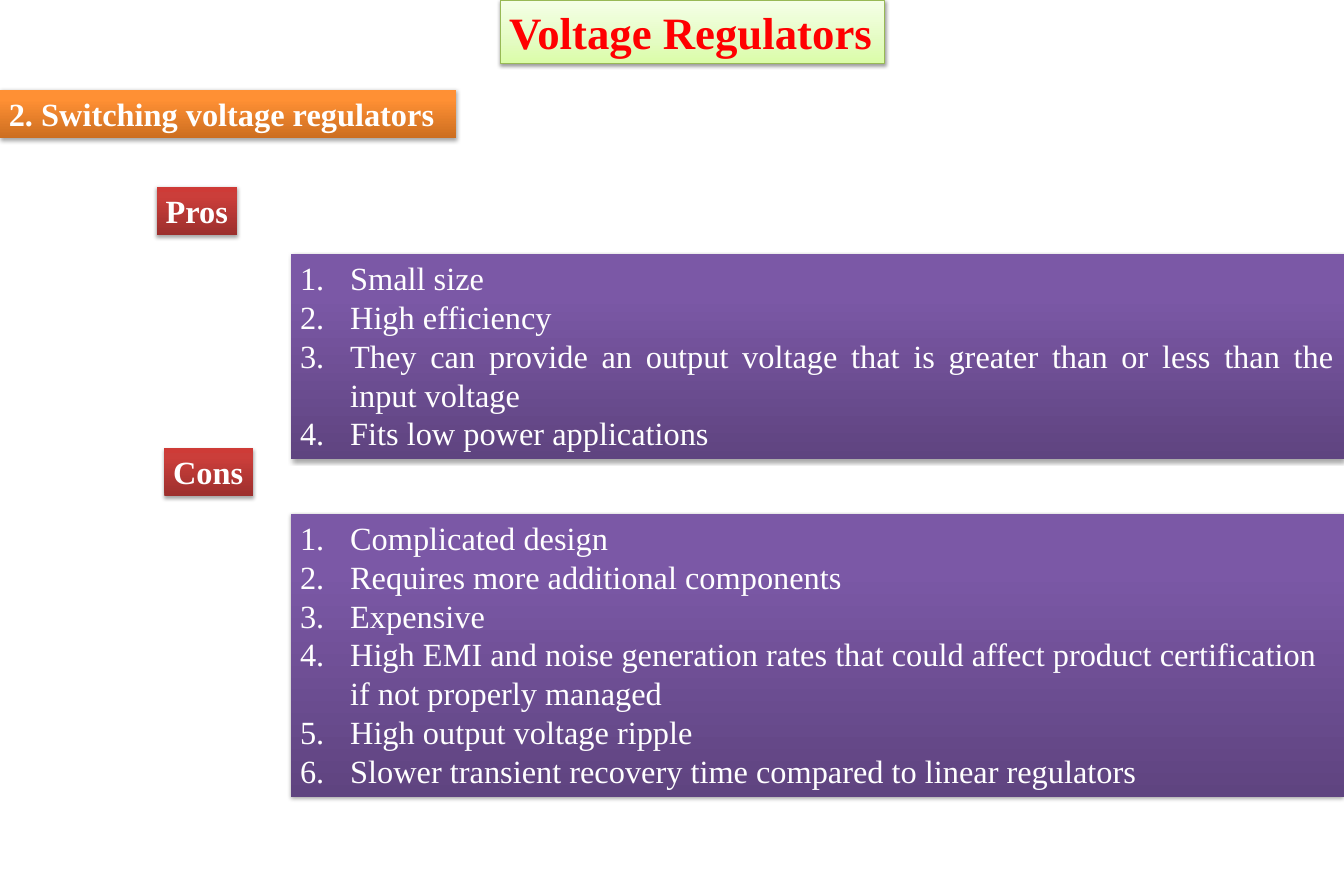
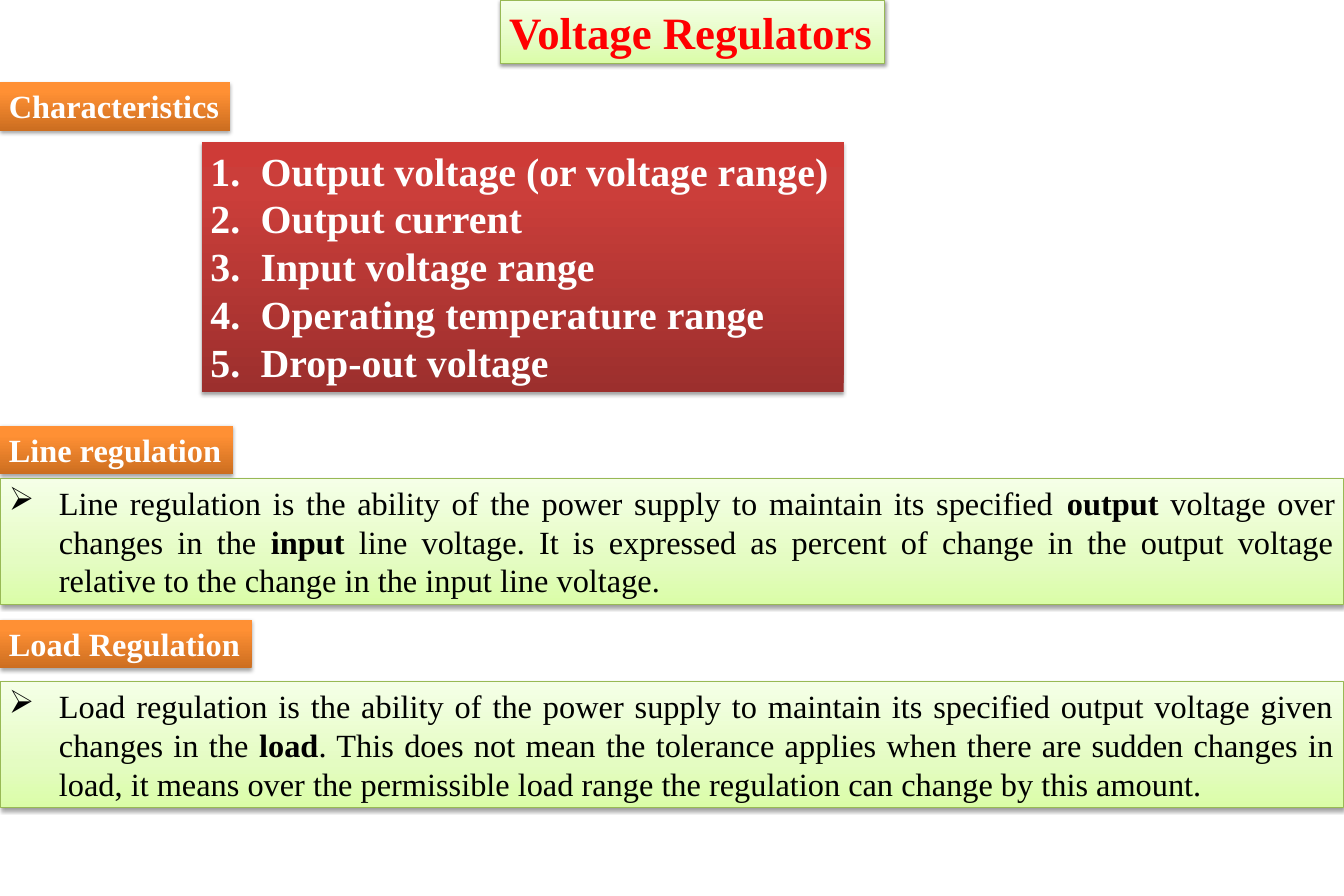
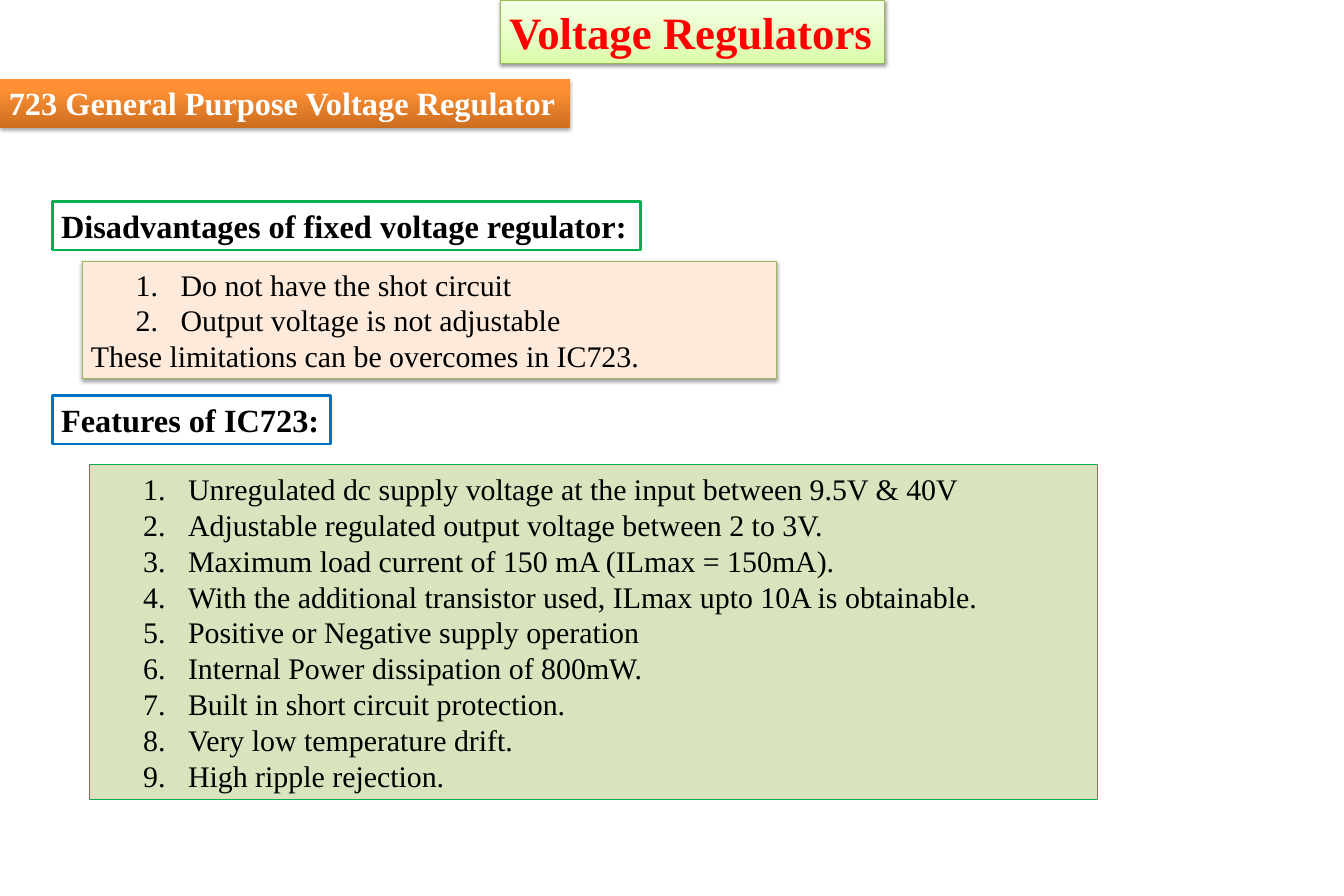
from dataclasses import dataclass
from typing import NamedTuple, Optional, Union

from lxml.etree import SubElement
from pptx import Presentation
from pptx.dml.color import RGBColor
from pptx.enum.text import MSO_ANCHOR, MSO_AUTO_SIZE, PP_ALIGN
from pptx.oxml.ns import qn
from pptx.util import Emu, Inches, Pt

COLUMNS, ROWS = 180, 120
SLIDE_WIDTH, SLIDE_HEIGHT = Inches(15), Inches(10)
FONT = "Times New Roman"

WHITE = RGBColor(0xFF, 0xFF, 0xFF)
BLACK = RGBColor(0x00, 0x00, 0x00)
RED = RGBColor(0xFF, 0x00, 0x00)
OLIVE = RGBColor(0x98, 0xB9, 0x55)
GREEN = RGBColor(0x00, 0xB0, 0x50)
BLUE = RGBColor(0x00, 0x70, 0xC0)
PEACH = RGBColor(0xFD, 0xEA, 0xDA)
SAGE = RGBColor(0xD7, 0xE4, 0xBD)


class Stop(NamedTuple):
    percent: int
    color: RGBColor


class Shadow(NamedTuple):
    opacity: int
    distance: float
    blur: float = 3.15


Gradient = tuple[Stop, ...]

ORANGE_GRADIENT = (
    Stop(0, RGBColor(0xCC, 0x6E, 0x20)),
    Stop(80, RGBColor(0xFF, 0x90, 0x34)),
    Stop(100, RGBColor(0xFF, 0x91, 0x36)),
)
RED_GRADIENT = (
    Stop(0, RGBColor(0x9C, 0x2F, 0x2D)),
    Stop(80, RGBColor(0xCB, 0x3E, 0x3A)),
    Stop(100, RGBColor(0xCE, 0x3B, 0x37)),
)
PURPLE_GRADIENT = (
    Stop(0, RGBColor(0x5F, 0x44, 0x80)),
    Stop(80, RGBColor(0x7B, 0x58, 0xA6)),
    Stop(100, RGBColor(0x7C, 0x57, 0xA8)),
)
LIME_GRADIENT = (
    Stop(0, RGBColor(0xDA, 0xFD, 0xA7)),
    Stop(35, RGBColor(0xE4, 0xFC, 0xC2)),
    Stop(100, RGBColor(0xF5, 0xFF, 0xE7)),
)
STRONG_SHADOW = Shadow(35, 1.81)
SOFT_SHADOW = Shadow(38, 1.57)


@dataclass(frozen=True)
class Style:
    fill: Union[RGBColor, Gradient]
    color: RGBColor = WHITE
    size: int = 26
    bold: bool = False
    wrap: bool = False
    line: Optional[RGBColor] = None
    line_width: float = 0.75
    shadow: Optional[Shadow] = None
    bullet: str = ""
    margin: float = 0.56
    hanging: float = 0.56
    level: int = 0
    align: Optional[PP_ALIGN] = None
    anchor: MSO_ANCHOR = MSO_ANCHOR.TOP


TITLE = Style(LIME_GRADIENT, RED, 36, True, line=OLIVE, shadow=SOFT_SHADOW)
HEADING = Style(ORANGE_GRADIENT, bold=True, shadow=STRONG_SHADOW)
LABEL = Style(RED_GRADIENT, bold=True, shadow=STRONG_SHADOW)
KEY_LIST = Style(RED_GRADIENT, size=32, bold=True, shadow=STRONG_SHADOW, bullet="1.")
CONS_LIST = Style(PURPLE_GRADIENT, wrap=True, shadow=STRONG_SHADOW, bullet="1.")
PROS_LIST = Style(PURPLE_GRADIENT, wrap=True, shadow=STRONG_SHADOW, bullet="1.",
                  align=PP_ALIGN.JUSTIFY)
DEFINITION = Style(LIME_GRADIENT, BLACK, wrap=True, line=OLIVE, shadow=SOFT_SHADOW,
                   bullet="➢", align=PP_ALIGN.JUSTIFY)
GREEN_FRAME = Style(WHITE, BLACK, bold=True, line=GREEN, line_width=2)
BLUE_FRAME = Style(WHITE, BLACK, bold=True, line=BLUE, line_width=2)
LIMITS_LIST = Style(PEACH, BLACK, 24, wrap=True, line=OLIVE, shadow=SOFT_SHADOW,
                    bullet="1.", margin=1, hanging=0.5, level=1,
                    align=PP_ALIGN.JUSTIFY, anchor=MSO_ANCHOR.MIDDLE)
FEATURES_LIST = Style(SAGE, BLACK, 24, wrap=True, line=GREEN,
                      bullet="1.", margin=1, hanging=0.5, level=1,
                      align=PP_ALIGN.JUSTIFY, anchor=MSO_ANCHOR.MIDDLE)

HEADING_ROWS = 6.5


@dataclass(frozen=True)
class Box:
    style: Style
    column: float
    row: float
    columns: float
    rows: float
    lines: tuple[str, ...]
    closing: str = ""


def heading(style: Style, column: float, row: float, columns: float, text: str) -> Box:
    return Box(style, column, row, columns, HEADING_ROWS, (text,))


TITLE_BOX = Box(TITLE, 67, 0, 51.5, 8.5, ("Voltage Regulators",))

SLIDES = (
    (
        heading(HEADING, 0, 12, 61.1, "2. Switching voltage regulators"),
        heading(LABEL, 21, 25, 10.8, "Pros"),
        Box(PROS_LIST, 39, 34, 141, 27.5, (
            "Small size",
            "High efficiency",
            "They can provide an output voltage that is greater than or less than "
            "the input voltage",
            "Fits low power applications",
        )),
        heading(LABEL, 22, 60, 11.9, "Cons"),
        Box(CONS_LIST, 39, 68.8, 141, 37.9, (
            "Complicated design",
            "Requires more additional components",
            "Expensive",
            "High EMI and noise generation rates that could affect product "
            "certification if not properly managed",
            "High output voltage ripple",
            "Slower transient recovery time compared to linear regulators",
        )),
    ),
    (
        heading(HEADING, 0, 11, 30.8, "Characteristics"),
        Box(KEY_LIST, 27, 19, 86, 33.5, (
            "Output voltage (or voltage range)",
            "Output current",
            "Input voltage range",
            "Operating temperature range",
            "Drop-out voltage",
        )),
        heading(HEADING, 0, 57, 31.2, "Line regulation"),
        Box(DEFINITION, 0, 64.1, COLUMNS, 16.9, (
            "Line regulation is the ability of the power supply to maintain its "
            "specified *output* voltage over changes in the *input* line voltage. "
            "It is expressed as percent of change in the output voltage relative "
            "to the change in the input line voltage.",
        )),
        heading(HEADING, 0, 83, 33.7, "Load Regulation"),
        Box(DEFINITION, 0, 91.3, COLUMNS, 16.9, (
            "Load regulation is the ability of the power supply to maintain its "
            "specified output voltage given changes in the *load*. This does not "
            "mean the tolerance applies when there are sudden changes in load, it "
            "means over the permissible load range the regulation can change by "
            "this amount.",
        )),
    ),
    (
        heading(HEADING, 0, 10.6, 76.3, "723 General Purpose Voltage Regulator"),
        heading(GREEN_FRAME, 7, 27, 78.8, "Disadvantages of fixed voltage regulator:"),
        Box(LIMITS_LIST, 11, 35, 93, 15.7, (
            "Do not have the shot circuit",
            "Output voltage is not adjustable",
        ), "These limitations can be overcomes in IC723."),
        heading(BLUE_FRAME, 7, 53, 37.3, "Features of IC723:"),
        Box(FEATURES_LIST, 12, 62.2, 135, 44.9, (
            "Unregulated dc supply voltage at the input between 9.5V & 40V",
            "Adjustable regulated output voltage between 2 to 3V.",
            "Maximum load current of 150 mA (ILmax = 150mA).",
            "With the additional transistor used, ILmax upto 10A is obtainable.",
            "Positive or Negative supply operation",
            "Internal Power dissipation of 800mW.",
            "Built in short circuit protection.",
            "Very low temperature drift.",
            "High ripple rejection.",
        )),
    ),
)


def apply_format(target, values: dict) -> None:
    for name, value in values.items():
        setattr(target, name, value)


def across(columns: float) -> Emu:
    return Emu(round(SLIDE_WIDTH * columns / COLUMNS))


def down(rows: float) -> Emu:
    return Emu(round(SLIDE_HEIGHT * rows / ROWS))


def add_element(parent, tag: str, **attributes):
    values = {name: str(value) for name, value in attributes.items()}
    return SubElement(parent, qn(tag), values)


def paint_fill(shape, fill: Union[RGBColor, Gradient]) -> None:
    if isinstance(fill, RGBColor):
        shape.fill.solid()
        shape.fill.fore_color.rgb = fill
        return
    shape.fill.gradient()
    shape.fill.gradient_angle = 90
    stops = shape._element.spPr.find(qn("a:gradFill")).find(qn("a:gsLst"))
    for default in list(stops):
        stops.remove(default)
    for stop in fill:
        mark = add_element(stops, "a:gs", pos=stop.percent * 1000)
        add_element(mark, "a:srgbClr", val=stop.color)


def paint_line(shape, style: Style) -> None:
    if style.line is None:
        shape.line.fill.background()
    else:
        shape.line.color.rgb = style.line
        shape.line.width = Pt(style.line_width)


def add_shadow(shape, shadow: Shadow) -> None:
    effects = add_element(shape._element.spPr, "a:effectLst")
    outer = add_element(effects, "a:outerShdw", blurRad=Pt(shadow.blur),
                        dist=Pt(shadow.distance), dir=90 * 60000, rotWithShape=0)
    color = add_element(outer, "a:srgbClr", val=BLACK)
    add_element(color, "a:alpha", val=shadow.opacity * 1000)


def add_bullet(paragraph, style: Style) -> None:
    paragraph.level = style.level
    properties = paragraph._p.get_or_add_pPr()
    properties.set("marL", str(Inches(style.margin)))
    properties.set("indent", str(-Inches(style.hanging)))
    if style.bullet == "1.":
        add_element(properties, "a:buFont", typeface="+mj-lt")
        add_element(properties, "a:buAutoNum", type="arabicPeriod")
    else:
        add_element(properties, "a:buChar", char=style.bullet)


def write_paragraph(paragraph, text: str, style: Style, listed: bool) -> None:
    paragraph.alignment = style.align
    if listed:
        add_bullet(paragraph, style)
    for index, part in enumerate(text.split("*")):
        run = paragraph.add_run()
        run.text = part
        apply_format(run.font, {
            "name": FONT,
            "size": Pt(style.size),
            "bold": style.bold or index % 2 == 1,
        })
        run.font.color.rgb = style.color


def draw_box(slide, box: Box) -> None:
    style = box.style
    shape = slide.shapes.add_textbox(across(box.column), down(box.row),
                                     across(box.columns), down(box.rows))
    paint_fill(shape, style.fill)
    paint_line(shape, style)
    if style.shadow:
        add_shadow(shape, style.shadow)
    frame = shape.text_frame
    apply_format(frame, {
        "word_wrap": style.wrap,
        "auto_size": MSO_AUTO_SIZE.SHAPE_TO_FIT_TEXT,
        "vertical_anchor": style.anchor,
    })
    entries = [(line, bool(style.bullet)) for line in box.lines]
    if box.closing:
        entries.append((box.closing, False))
    for index, (text, listed) in enumerate(entries):
        paragraph = frame.add_paragraph() if index else frame.paragraphs[0]
        write_paragraph(paragraph, text, style, listed)


def main() -> None:
    presentation = Presentation()
    apply_format(presentation, {"slide_width": SLIDE_WIDTH, "slide_height": SLIDE_HEIGHT})
    for boxes in SLIDES:
        slide = presentation.slides.add_slide(presentation.slide_layouts[6])
        for box in (TITLE_BOX, *boxes):
            draw_box(slide, box)
    presentation.save("out.pptx")


if __name__ == "__main__":
    main()
